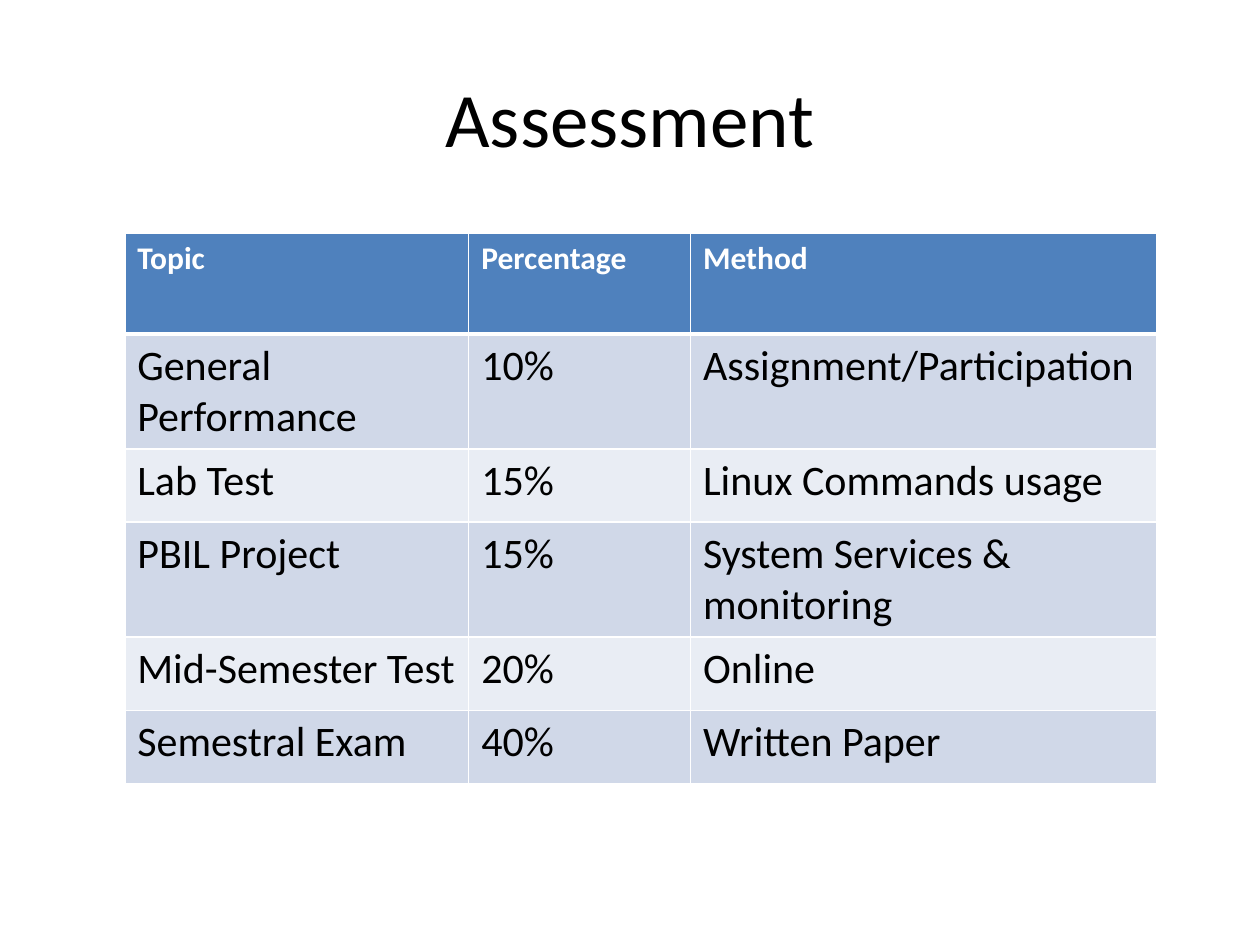
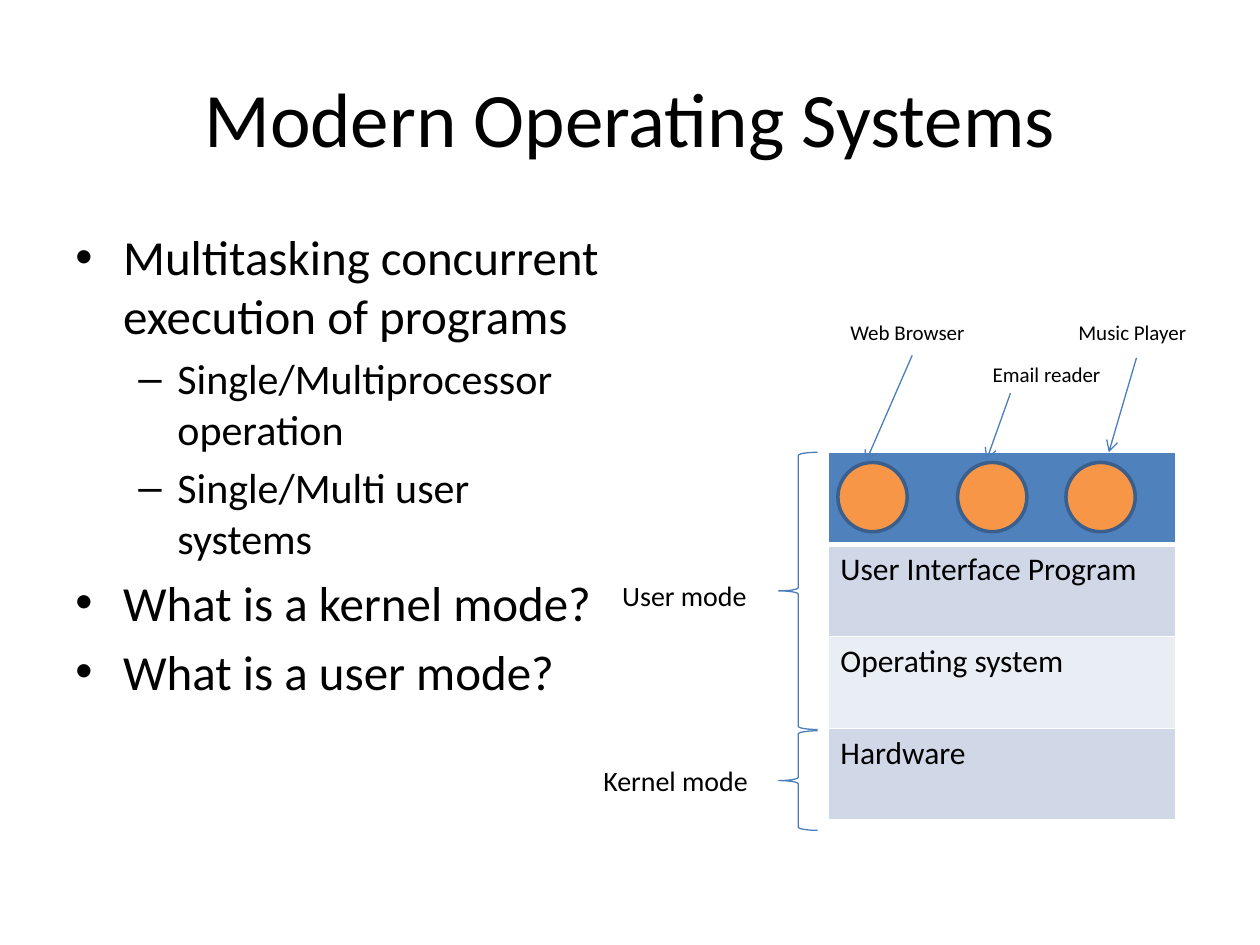
from lxml import etree
from pptx import Presentation
from pptx import util as u
from pptx.dml.color import RGBColor
from pptx.enum import shapes, text
from pptx.oxml import ns

COLORS = {
    "text": "000000",
    "white": "FFFFFF",
    "header": "4F81BD",
    "band_dark": "D0D8E8",
    "band_light": "E9EDF4",
    "program": "F79646",
    "program_line": "3A5F8C",
    "line": "4B7EBC",
}
RGB = {name: RGBColor.from_string(value) for name, value in COLORS.items()}
FONT = "Calibri"


def set_font(paragraph, size, color="text", bold=False):
    paragraph.font.name = FONT
    paragraph.font.size = u.Pt(size)
    paragraph.font.bold = bold
    paragraph.font.color.rgb = RGB[color]


def add_banded_table(slide, rows, left, top, widths, heights, size):
    """Add a table with a blue header, two alternating bands and white rules."""
    table = slide.shapes.add_table(
        len(rows), len(widths), u.Inches(left), u.Inches(top),
        u.Inches(sum(widths)), u.Inches(sum(heights))).table
    for column, width in zip(table.columns, widths):
        column.width = u.Inches(width)
    for r, (labels, height) in enumerate(zip(rows, heights)):
        table.rows[r].height = u.Inches(height)
        band = "header" if r == 0 else ("band_light", "band_dark")[r % 2]
        for cell, label in zip(table.rows[r].cells, labels):
            cell.text = label
            if r == 0:
                set_font(cell.text_frame.paragraphs[0], 18, "white", True)
            else:
                set_font(cell.text_frame.paragraphs[0], size)
            properties = cell._tc.get_or_add_tcPr()
            for side in "LRTB":
                thick = (r, side) in ((0, "B"), (1, "T"))
                border = etree.SubElement(properties, ns.qn(f"a:ln{side}"),
                                          w=str(u.Pt(3 if thick else 1)))
                fill = etree.SubElement(border, ns.qn("a:solidFill"))
                etree.SubElement(fill, ns.qn("a:srgbClr"), val=COLORS["white"])
            cell.fill.solid()
            cell.fill.fore_color.rgb = RGB[band]


prs = Presentation()
prs.slide_width, prs.slide_height = u.Inches(10), u.Inches(7.5)

slides = []
for heading in ("Assessment", "Modern Operating Systems"):
    slide = prs.slides.add_slide(prs.slide_layouts[5])
    title = slide.shapes.title
    title.left, title.top = u.Inches(0.5), u.Inches(0.3)
    title.width, title.height = u.Inches(9), u.Inches(1.25)
    title.text_frame.text = heading
    title.text_frame.vertical_anchor = text.MSO_ANCHOR.MIDDLE
    title.text_frame.paragraphs[0].alignment = text.PP_ALIGN.CENTER
    set_font(title.text_frame.paragraphs[0], 44)
    slides.append(slide)
assessment, systems = slides

# Assessment scheme
assessment_rows = [
    ("Topic", "Percentage", "Method"),
    ("General Performance", "10%", "Assignment/Participation"),
    ("Lab Test", "15%", "Linux Commands usage"),
    ("PBIL Project", "15%", "System Services & monitoring"),
    ("Mid-Semester Test", "20%", "Online"),
    ("Semestral Exam", "40%", "Written Paper"),
]
add_banded_table(assessment, assessment_rows, 0.99, 1.85, [2.73, 1.76, 3.7],
                 [0.8, 0.51] + [0.58] * 4, 24)

# Bullets on operating systems
bullet_levels = [("•", 28, 0.38, 0.38), ("–", 24, 0.81, 0.31)]
points = [
    (0, "Multitasking concurrent execution of programs"),
    (1, "Single/Multiprocessor operation"),
    (1, "Single/Multi user systems"),
    (0, "What is a kernel mode?"),
    (0, "What is a user mode?"),
]
body = systems.shapes.add_textbox(u.Inches(0.5), u.Inches(1.75),
                                  u.Inches(4.46), u.Inches(4.95)).text_frame
body.word_wrap = True
for i, (level, point) in enumerate(points):
    paragraph = body.add_paragraph() if i else body.paragraphs[0]
    mark, size, margin, hanging = bullet_levels[level]
    paragraph.text = point
    paragraph.level = level
    properties = paragraph._p.get_or_add_pPr()
    properties.set("marL", str(u.Inches(margin)))
    properties.set("indent", str(-u.Inches(hanging)))
    etree.SubElement(properties, ns.qn("a:buFont"), typeface="Arial")
    etree.SubElement(properties, ns.qn("a:buChar"), char=mark)
    if i:
        paragraph.space_before = u.Pt(0.2 * size)
    set_font(paragraph, size)

# Layers of the system, with running programs on top
layers = [("",), ("User Interface Program",), ("Operating system",), ("Hardware",)]
add_banded_table(systems, layers, 6.57, 3.59, [2.76], [0.73] * 4, 18)

for left in (6.65, 7.6, 8.46):
    program = systems.shapes.add_shape(
        shapes.MSO_SHAPE.OVAL, u.Inches(left), u.Inches(3.67),
        u.Inches(0.55), u.Inches(0.55))
    program.shadow.inherit = False
    program.fill.solid()
    program.fill.fore_color.rgb = RGB["program"]
    program.line.color.rgb = RGB["program_line"]
    program.line.width = u.Pt(2)

labels = [
    ("Web Browser", 6.65, 2.49, 1.18, 0.3, 12),
    ("Email reader", 7.78, 2.82, 1.18, 0.3, 12),
    ("Music Player", 8.46, 2.49, 1.18, 0.3, 12),
    ("User mode", 4.84, 4.54, 1.34, 0.37, 16),
    ("Kernel mode", 4.69, 6.01, 1.49, 0.37, 16),
]
for wording, left, top, width, height, size in labels:
    label = systems.shapes.add_textbox(u.Inches(left), u.Inches(top),
                                       u.Inches(width), u.Inches(height)).text_frame
    label.word_wrap = True
    label.auto_size = text.MSO_AUTO_SIZE.SHAPE_TO_FIT_TEXT
    label.text = wording
    set_font(label.paragraphs[0], size)

arrows = [(7.24, 2.82, 6.87, 3.67), (8.02, 3.12, 7.83, 3.65), (9.02, 2.84, 8.8, 3.59)]
for ends in arrows:
    arrow = systems.shapes.add_connector(shapes.MSO_CONNECTOR.STRAIGHT,
                                         *map(u.Inches, ends))
    arrow.line.color.rgb = RGB["line"]
    arrow.line.width = u.Pt(0.75)
    etree.SubElement(arrow.line._get_or_add_ln(), ns.qn("a:tailEnd"), type="arrow")
    etree.SubElement(arrow._element.spPr, ns.qn("a:effectLst"))

for top, height in ((3.59, 2.2), (5.8, 0.79)):
    mode_brace = systems.shapes.add_shape(
        shapes.MSO_SHAPE.LEFT_BRACE, u.Inches(6.18), u.Inches(top),
        u.Inches(0.31), u.Inches(height))
    mode_brace.shadow.inherit = False
    mode_brace.fill.background()
    mode_brace.line.color.rgb = RGB["line"]
    mode_brace.line.width = u.Pt(0.75)

prs.save("out.pptx")
